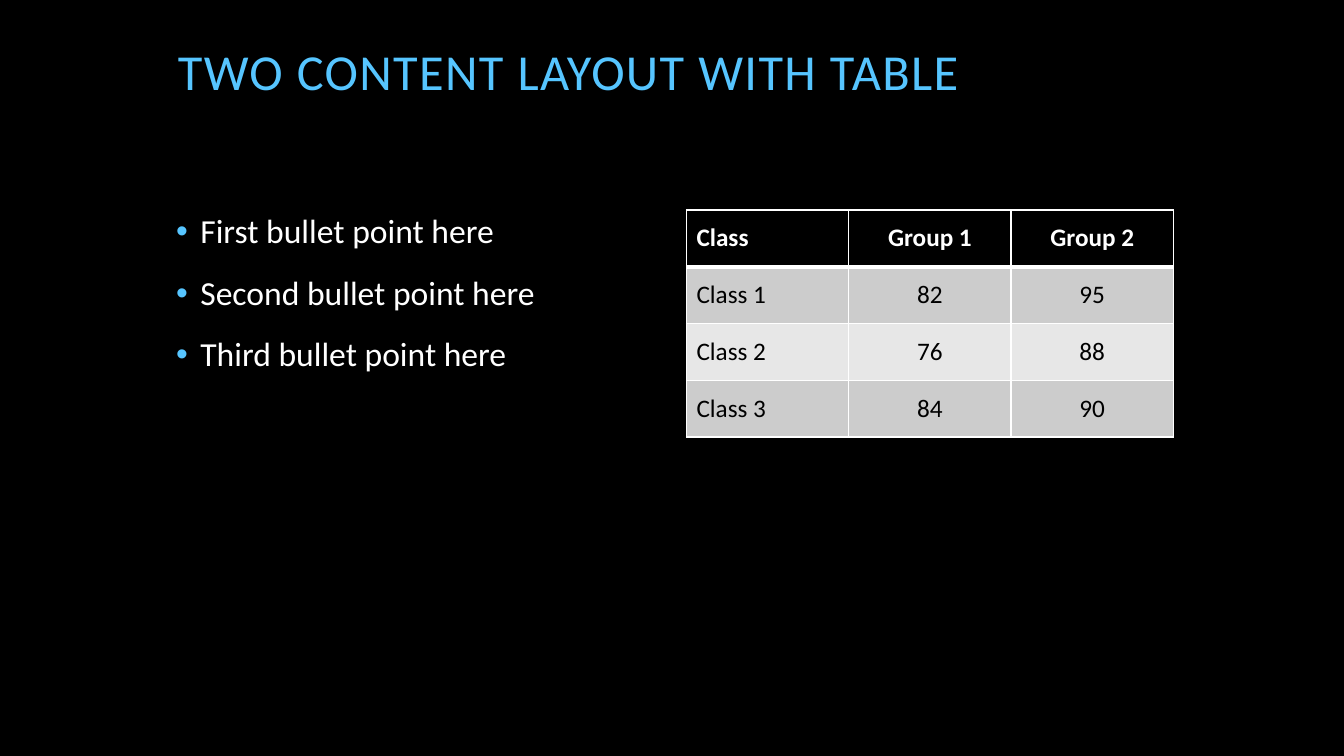
from lxml import etree
from pptx import Presentation
from pptx.dml.color import RGBColor
from pptx.enum.text import MSO_ANCHOR, PP_ALIGN
from pptx.oxml.ns import qn
from pptx.util import Cm, Pt

LEFT, CENTER = PP_ALIGN.LEFT, PP_ALIGN.CENTER
TOP, MIDDLE = MSO_ANCHOR.TOP, MSO_ANCHOR.MIDDLE
TITLE_ONLY = 5
FONT = "Calibri"
COLORS = {
    "black": "000000",
    "white": "FFFFFF",
    "accent": "56C5FF",
    "odd_row": "CCCCCC",
    "even_row": "E7E7E7",
}
BULLETS = [
    "First bullet point here",
    "Second bullet point here",
    "Third bullet point here",
]
SCORES = [
    ["Class", "Group 1", "Group 2"],
    ["Class 1", "82", "95"],
    ["Class 2", "76", "88"],
    ["Class 3", "84", "90"],
]


def rgb(name):
    return RGBColor.from_string(COLORS[name])


def write(para, text, size, color="white", bold=False, align=LEFT, spacing=None, before=0):
    """Add text to a paragraph and format both."""
    para.alignment = align
    para.space_before = Pt(before)
    if spacing:
        para.line_spacing = spacing
    span = para.add_run()
    span.text = text
    span.font.name = FONT
    span.font.size = Pt(size)
    span.font.bold = bold
    span.font.color.rgb = rgb(color)
    return span


def add_bullet(para, color):
    props = para._p.get_or_add_pPr()
    props.set("marL", str(Cm(0.61)))
    props.set("indent", str(-Cm(0.61)))
    bullet_color = etree.SubElement(props, qn("a:buClr"))
    etree.SubElement(bullet_color, qn("a:srgbClr"), val=COLORS[color])
    etree.SubElement(props, qn("a:buFont"), typeface="Arial")
    etree.SubElement(props, qn("a:buChar"), char="•")


def set_title(page, text):
    title = page.shapes.title
    title.left, title.top, title.width, title.height = Cm(4.23), Cm(1.06), Cm(25.4), Cm(3.81)
    title.text_frame.vertical_anchor = TOP
    span = write(title.text_frame.paragraphs[0], text, 36, color="accent", spacing=0.9)
    span.font._element.set("spc", "100")


def add_bullet_list(page, items):
    box = page.shapes.add_textbox(Cm(4.19), Cm(5.29), Cm(12.28), Cm(11.43))
    frame = box.text_frame
    frame.word_wrap = True
    for index, item in enumerate(items):
        para = frame.add_paragraph() if index else frame.paragraphs[0]
        write(para, item, 24, spacing=0.9, before=18)
        add_bullet(para, "accent")


def set_borders(cell, bottom_width, top_width):
    props = cell._tc.get_or_add_tcPr()
    widths = {"a:lnL": 1, "a:lnR": 1, "a:lnT": top_width, "a:lnB": bottom_width}
    for position, (side, width) in enumerate(widths.items()):
        line = etree.Element(qn(side), w=str(Pt(width)))
        fill = etree.SubElement(line, qn("a:solidFill"))
        etree.SubElement(fill, qn("a:srgbClr"), val=COLORS["white"])
        props.insert(position, line)


def add_score_table(page, rows):
    table = page.shapes.add_table(
        len(rows), len(rows[0]), Cm(17.3), Cm(5.29), Cm(12.27), Cm(5.72)
    ).table
    for row_index, row in enumerate(rows):
        header = row_index == 0
        fill = "black" if header else "odd_row" if row_index % 2 else "even_row"
        for column, text in enumerate(row):
            cell = table.cell(row_index, column)
            cell.vertical_anchor = MIDDLE
            cell.fill.solid()
            cell.fill.fore_color.rgb = rgb(fill)
            set_borders(cell, 3 if header else 1, 3 if row_index == 1 else 1)
            write(
                cell.text_frame.paragraphs[0], text, 18,
                color="white" if header else "black",
                bold=header,
                align=CENTER if column else LEFT,
            )


def main():
    deck = Presentation()
    deck.slide_width, deck.slide_height = Cm(33.87), Cm(19.05)
    page = deck.slides.add_slide(deck.slide_layouts[TITLE_ONLY])
    page.background.fill.solid()
    page.background.fill.fore_color.rgb = rgb("black")
    set_title(page, "TWO CONTENT LAYOUT WITH TABLE")
    add_bullet_list(page, BULLETS)
    add_score_table(page, SCORES)
    deck.save("out.pptx")


if __name__ == "__main__":
    main()
